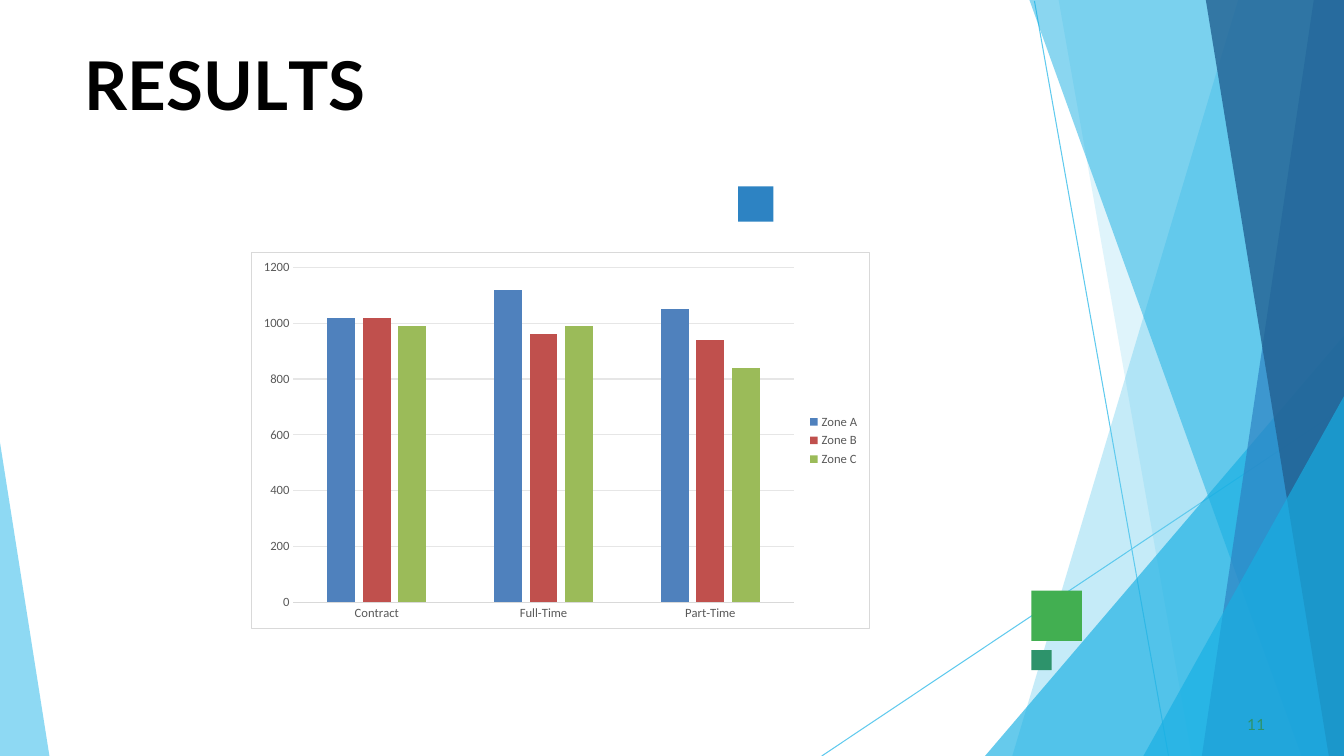
from lxml.etree import SubElement
from pptx import Presentation
from pptx.chart.data import CategoryChartData
from pptx.dml.color import RGBColor
from pptx.enum.chart import XL_CHART_TYPE, XL_LEGEND_POSITION, XL_TICK_MARK
from pptx.enum.shapes import MSO_CONNECTOR, MSO_SHAPE
from pptx.enum.text import MSO_ANCHOR, MSO_AUTO_SIZE, PP_ALIGN
from pptx.oxml import parse_xml
from pptx.oxml.ns import nsdecls, qn
from pptx.util import Inches, Pt

W, H = 13.33, 7.5
UNITS = 1000  # freeform units per inch
BLACK = RGBColor(0x00, 0x00, 0x00)
GRAY = RGBColor(0x59, 0x59, 0x59)
BORDER = RGBColor(0xD9, 0xD9, 0xD9)
GRID = RGBColor(0xE6, 0xE6, 0xE6)
SKY = RGBColor(0x5F, 0xCA, 0xEE)
CYAN = RGBColor(0x17, 0xAF, 0xE3)
BLUE = RGBColor(0x2D, 0x83, 0xC3)
NAVY = RGBColor(0x22, 0x61, 0x92)
GREEN = RGBColor(0x42, 0xAF, 0x51)
TEAL = RGBColor(0x2D, 0x93, 0x6B)

# Content: title and number runs are (text, letter spacing in points)
TITLE = [("R", 0), ("E", -0.4), ("S", 0.1), ("U", -0.3), ("L", -4), ("TS", 0)]
NUMBER = [("11", 0.1)]
CATEGORIES = ["Contract", "Full-Time", "Part-Time"]
SERIES = [
    ("Zone A", [1020, 1120, 1050], RGBColor(0x4F, 0x81, 0xBD)),
    ("Zone B", [1020, 960, 940], RGBColor(0xC0, 0x50, 0x4D)),
    ("Zone C", [990, 990, 840], RGBColor(0x9B, 0xBB, 0x59)),
]

# Decoration: lines, then facets as (top x, right-edge y, bottom x, colour, opacity %)
LINES = [(10.26, 0.01, 11.59, H), (W, 4.04, 8.15, H)]
FACETS = [
    (12.28, 0, 10.04, SKY, 36),
    (10.5, 0, 11.82, SKY, 20),
    (W, 3.33, 9.77, CYAN, 66),
    (10.21, 0, 12.91, CYAN, 50),
    (13.03, 0, 11.92, BLUE, 70),
    (11.96, 0, 13.18, NAVY, 80),
    (W, 3.93, 11.34, CYAN, 66),
]
LEFT_FACET = [(0, 4.39), (0, H), (0.49, H)]
SQUARES = [(10.23, 5.86, 0.5, GREEN), (7.32, 1.85, 0.35, BLUE), (10.23, 6.45, 0.2, TEAL)]


def set_format(obj, **values):
    for name, value in values.items():
        setattr(obj, name, value)


def paint(sp, color, opacity=100):
    sp.shadow.inherit = False
    sp.line.fill.background()
    sp.fill.solid()
    sp.fill.fore_color.rgb = color
    if opacity < 100:
        clr = sp.fill._xPr.find(qn("a:solidFill"))[0]
        SubElement(clr, qn("a:alpha")).set("val", str(opacity * 1000))


def add_facet(points, color, opacity):
    corners = [(round(x * UNITS), round(y * UNITS)) for x, y in points]
    fb = s.shapes.build_freeform(*corners[0], scale=Inches(1) / UNITS)
    fb.add_line_segments(corners[1:], close=True)
    paint(fb.convert_to_shape(), color, opacity)


def write(sp, runs, size, color, bold, indent, before):
    tf = sp.text_frame
    set_format(tf, margin_left=0, margin_right=0, margin_top=Inches(0.01), margin_bottom=0,
               word_wrap=True, vertical_anchor=MSO_ANCHOR.TOP,
               auto_size=MSO_AUTO_SIZE.SHAPE_TO_FIT_TEXT)
    p = tf.paragraphs[0]
    set_format(p, alignment=PP_ALIGN.LEFT, space_before=Pt(before), line_spacing=1.0)
    p._p.get_or_add_pPr().set("marL", str(Inches(indent)))
    for text, spacing in runs:
        r = p.add_run()
        r.text = text
        set_format(r.font, name="Lato", size=Pt(size), bold=bold)
        r.font.color.rgb = color
        r._r.get_or_add_rPr().set("spc", str(round(spacing * 100)))


def thin_line(line, color):
    line.color.rgb = color
    line.width = Pt(0.75)


prs = Presentation()
prs.slide_width, prs.slide_height = Inches(W), Inches(H)
s = prs.slides.add_slide(prs.slide_layouts[5])

# Background lines and facets
for ends in LINES:
    line = s.shapes.add_connector(MSO_CONNECTOR.STRAIGHT, *map(Inches, ends))
    thin_line(line.line, SKY)
    SubElement(line._element.spPr, qn("a:effectLst"))
for top, right, bottom, color, opacity in FACETS:
    upper = [(W, right)] if top == W else [(W, right), (top, 0)]
    add_facet(upper + [(bottom, H), (W, H)], color, opacity)
add_facet(LEFT_FACET, SKY, 70)
for x, y, side, color in SQUARES:
    paint(s.shapes.add_shape(MSO_SHAPE.RECTANGLE, *map(Inches, (x, y, side, side))), color)

# Title and slide number
title = s.shapes.title
set_format(title, left=Inches(0.83), top=Inches(0.42), width=Inches(3.85), height=Inches(0.81))
write(title, TITLE, 48, BLACK, True, 0.01, 1.1)
number = s.shapes.add_textbox(*map(Inches, (12.33, 7.08, 0.25, 0.21)))
write(number, NUMBER, 11, TEAL, False, 0.04, 0.6)

# Chart
data = CategoryChartData()
data.categories = CATEGORIES
for name, values, _ in SERIES:
    data.add_series(name, values)
box = map(Inches, (2.49, 2.5, 6.14, 3.74))
chart = s.shapes.add_chart(XL_CHART_TYPE.COLUMN_CLUSTERED, *box, data).chart
set_format(chart, has_title=False, has_legend=True)
set_format(chart.legend, position=XL_LEGEND_POSITION.RIGHT, include_in_layout=False)
plot = chart.plots[0]
set_format(plot, gap_width=246, overlap=-28, vary_by_categories=False)
for series, (_, _, color) in zip(plot.series, SERIES):
    series.format.fill.solid()
    series.format.fill.fore_color.rgb = color

cat, val = chart.category_axis, chart.value_axis
for axis in (cat, val):
    set_format(axis, major_tick_mark=XL_TICK_MARK.NONE, minor_tick_mark=XL_TICK_MARK.NONE)
set_format(val, minimum_scale=0, maximum_scale=1200, major_unit=200, has_major_gridlines=True)
thin_line(cat.format.line, BORDER)
thin_line(val.major_gridlines.format.line, GRID)
val.format.line.fill.background()
for font, size, color in [(chart.font, 10, BLACK), (chart.legend.font, 9, GRAY),
                          (cat.tick_labels.font, 9, GRAY), (val.tick_labels.font, 9, GRAY)]:
    set_format(font, name="Calibri", size=Pt(size))
    font.color.rgb = color

# Chart frame
frame = parse_xml(
    f'<c:spPr {nsdecls("c", "a")}><a:solidFill><a:srgbClr val="FFFFFF"/></a:solidFill>'
    f'<a:ln w="{Pt(0.75)}"><a:solidFill><a:srgbClr val="{BORDER}"/></a:solidFill></a:ln></c:spPr>')
chart._chartSpace.find(qn("c:chart")).addnext(frame)

prs.save("out.pptx")
